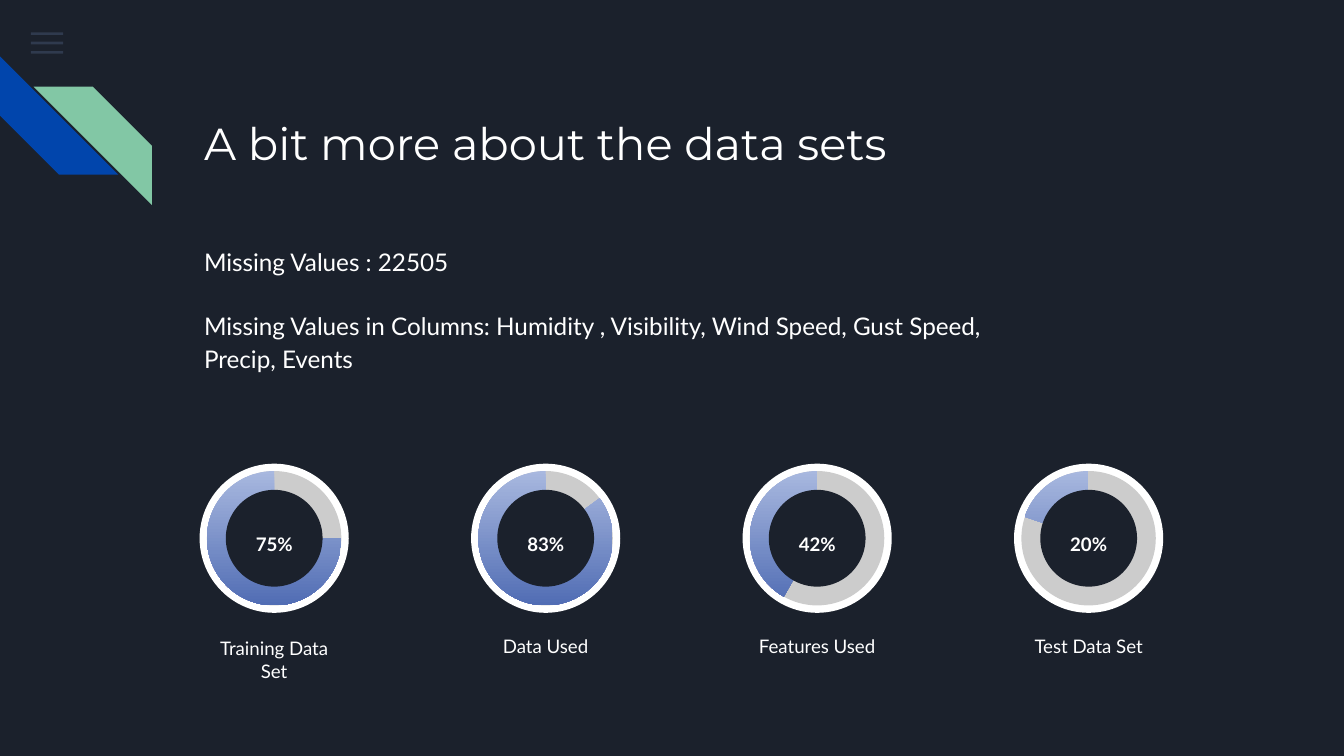
import dataclasses
import pptx
import pptx.dml.color
import pptx.enum.shapes
import pptx.enum.text
import pptx.oxml.ns
import pptx.util
from lxml import etree

PX = 4572
SHAPE = pptx.enum.shapes.MSO_SHAPE
ALIGN = pptx.enum.text.PP_ALIGN


@dataclasses.dataclass(frozen=True)
class Theme:
    background: str = "1B212C"
    text: str = "FFFFFF"
    menu: str = "55688B"
    blue: str = "0145AC"
    green: str = "82C7A5"
    track: str = "CCCCCC"
    arc_top: str = "A8B8DF"
    arc_bottom: str = "516DB4"
    heading_font: str = "Montserrat"
    body_font: str = "Lato"
    title_size: int = 24
    body_size: int = 13
    label_size: int = 10


THEME = Theme()


def rgb(color):
    return pptx.dml.color.RGBColor.from_string(color)


def emu(*lengths):
    return [pptx.util.Emu(n * PX) for n in lengths]


def add_shape(s, kind, box, color):
    sp = s.shapes.add_shape(kind, *emu(*box))
    sp.shadow.inherit = False
    sp.line.fill.background()
    sp.fill.solid()
    sp.fill.fore_color.rgb = rgb(color)
    return sp


def add_text(s, box, lines, size, font=THEME.body_font, align=ALIGN.LEFT,
             bold=False, spacing=1.15, after=0):
    tf = s.shapes.add_textbox(*emu(*box)).text_frame
    tf.word_wrap = True
    inset = emu(20)[0]
    tf.margin_left = tf.margin_right = tf.margin_top = tf.margin_bottom = inset
    for i, line in enumerate(lines):
        p = tf.paragraphs[0] if i == 0 else tf.add_paragraph()
        p.text = line
        p.alignment = align
        p.line_spacing = spacing
        p.space_before = pptx.util.Pt(16 if i else 0)
        p.space_after = pptx.util.Pt(after if i == len(lines) - 1 else 0)
        p.font.name = font
        p.font.size = pptx.util.Pt(size)
        p.font.bold = bold
        p.font.color.rgb = rgb(THEME.text)


def add_menu(s, x, y):
    for row in range(3):
        sp = add_shape(s, SHAPE.RECTANGLE, (x, y + row * 14, 48, 4), THEME.menu)
        color = sp.fill._xPr.find(".//" + pptx.oxml.ns.qn("a:srgbClr"))
        etree.SubElement(color, pptx.oxml.ns.qn("a:alpha"), val="36000")


def add_stripes(s, x, y):
    blue = add_shape(s, SHAPE.DIAGONAL_STRIPE, (x, y, 176, 176), THEME.blue)
    blue.rotation = 270
    green = add_shape(s, SHAPE.DIAGONAL_STRIPE, (x + 50, y + 45, 176, 176), THEME.green)
    green._element.spPr.xfrm.set("flipH", "1")


def add_heading(s, x, y, w):
    add_text(s, (x, y, w, 174), ["A bit more about the data sets"],
             THEME.title_size, THEME.heading_font, after=16)


def add_body(s, x, y, w):
    lines = ["Missing Values : 22505",
             "Missing Values in Columns: Humidity , Visibility, Wind Speed, Gust Speed, Precip, Events"]
    add_text(s, (x, y, w, 274), lines, THEME.body_size, after=16)


def add_ring(s, x, y, w, percent, start, label):
    def disc(kind, d, color):
        return add_shape(s, kind, (x + (w - d) // 2, y + (222 - d) // 2, d, d), color)

    disc(SHAPE.OVAL, 222, THEME.text)
    disc(SHAPE.OVAL, 200, THEME.track)
    arc = disc(SHAPE.PIE, 200, THEME.arc_top)
    arc.adjustments[0] = start * 0.6
    arc.adjustments[1] = 270 * 0.6
    arc.fill.gradient()
    arc.fill.gradient_angle = 270
    for stop, color in zip(arc.fill.gradient_stops, (THEME.arc_top, THEME.arc_bottom)):
        stop.color.rgb = rgb(color)
    disc(SHAPE.OVAL, 144, THEME.background)
    add_text(s, (x, y + 238, w, 96), [label], THEME.label_size,
             align=ALIGN.CENTER, spacing=1.0, after=16)
    add_text(s, (x + (w - 102) // 2, y + 78, 102, 60), [percent], THEME.label_size,
             align=ALIGN.CENTER, bold=True)


def add_rings(s, x, y, step):
    rings = [("75%", 0, "Training Data Set"),
             ("83%", 323.5, "Data Used"),
             ("42%", 119.7, "Features Used"),
             ("20%", 198.54, "Test Data Set")]
    for i, ring in enumerate(rings):
        add_ring(s, x + i * step, y, 232, *ring)


def main():
    prs = pptx.Presentation()
    prs.slide_width, prs.slide_height = emu(2000, 1125)
    s = prs.slides.add_slide(prs.slide_layouts[6])
    s.background.fill.solid()
    s.background.fill.fore_color.rgb = rgb(THEME.background)
    add_menu(s, 46, 48)
    add_stripes(s, 0, 84)
    add_heading(s, 284, 140, 1226)
    add_body(s, 284, 342, 1226)
    add_rings(s, 292, 690, 404)
    prs.save("out.pptx")


if __name__ == "__main__":
    main()
